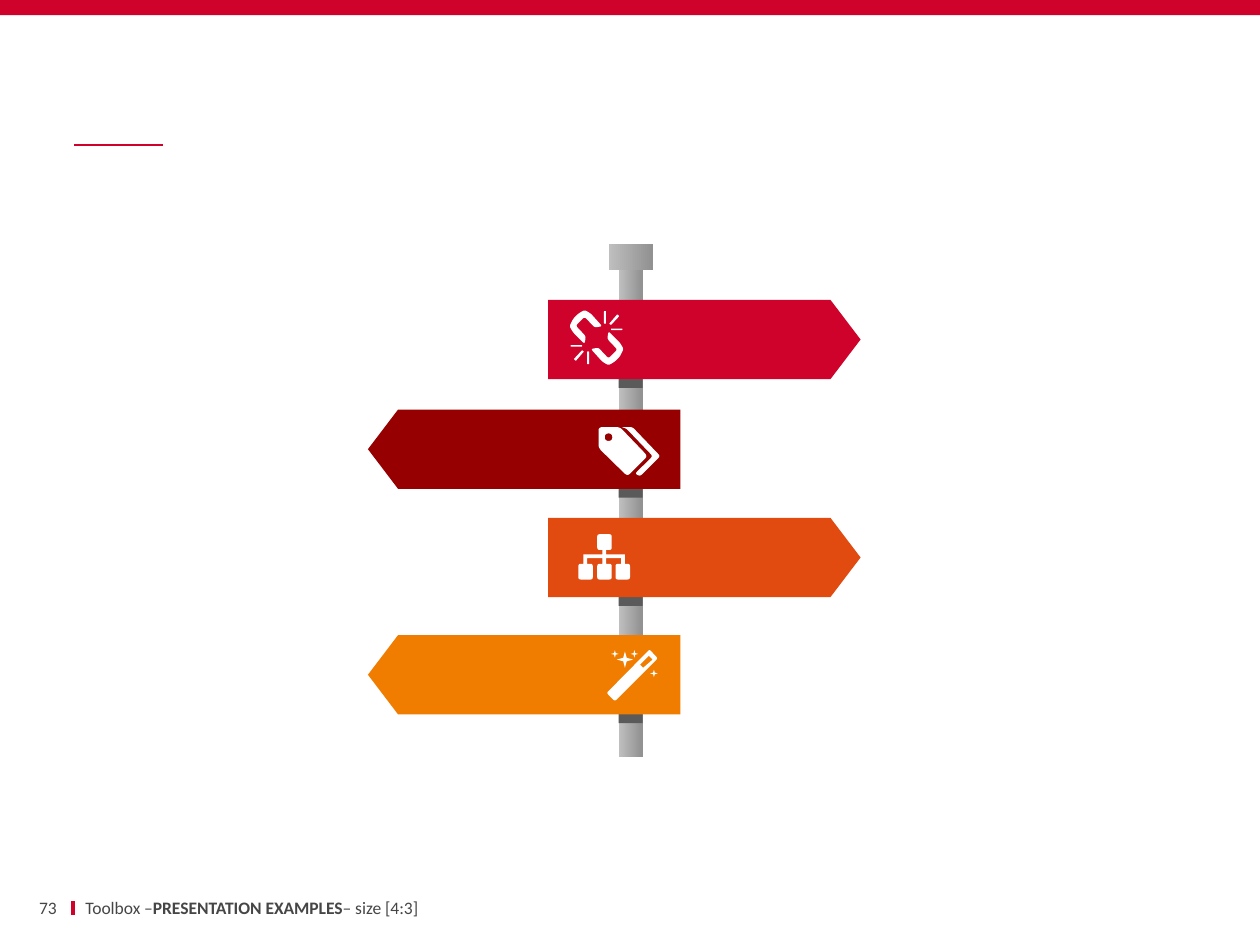
from math import cos, sin, pi, hypot
from lxml.etree import SubElement
from pptx import Presentation
from pptx.dml.color import RGBColor
from pptx.enum.shapes import MSO_CONNECTOR as Conn, MSO_SHAPE as Kind
from pptx.enum.text import MSO_ANCHOR as Anchor, PP_ALIGN as Align
from pptx.oxml.ns import qn
from pptx.util import Inches, Pt

RED, WHITE, GRAY = "CF022B", "FFFFFF", "464646"


def color(code):
    return RGBColor.from_string(code)


def paint(shape, fill):
    shape.shadow.inherit = False
    shape.line.fill.background()
    if isinstance(fill, tuple):
        shape.fill.gradient()
        shape.fill.gradient_angle = 0
        for stop, code in zip(shape.fill.gradient_stops, fill):
            stop.color.rgb = color(code)
    else:
        shape.fill.solid()
        shape.fill.fore_color.rgb = color(fill)


def block(slide, x, y, w, h, fill, kind=Kind.RECTANGLE):
    shape = slide.shapes.add_shape(kind, Inches(x), Inches(y), Inches(w), Inches(h))
    paint(shape, fill)
    return shape


def rule(slide, x, y, x2, y2, width):
    line = slide.shapes.add_connector(
        Conn.STRAIGHT, Inches(x), Inches(y), Inches(x2), Inches(y2))
    line.line.color.rgb = color(RED)
    line.line.width = Pt(width)
    SubElement(line._element.spPr, qn("a:effectLst"))


def write(slide, runs, x, y, w, h, size=10, font="Calibri", fill=GRAY,
          align=Align.LEFT, side=0.1):
    frame = slide.shapes.add_textbox(
        Inches(x), Inches(y), Inches(w), Inches(h)).text_frame
    frame.word_wrap = True
    frame.vertical_anchor = Anchor.MIDDLE
    frame.margin_left = frame.margin_right = Inches(side)
    frame.margin_top = frame.margin_bottom = Inches(0.05)
    para = frame.paragraphs[0]
    para.alignment = align
    for text, bold in runs:
        run = para.add_run()
        run.text = text
        run.font.size, run.font.name, run.font.bold = Pt(size), font, bold
        run.font.color.rgb = color(fill)


def soften(points, radius):
    if not radius:
        return points
    out = []
    for i, (x, y) in enumerate(points):
        ends = []
        for px, py in (points[i - 1], points[(i + 1) % len(points)]):
            part = min(radius / hypot(px - x, py - y), 0.5)
            ends.append((x + (px - x) * part, y + (py - y) * part))
        (ax, ay), (bx, by) = ends
        for t in (0, 0.25, 0.5, 0.75, 1):
            a, b, c = (1 - t) ** 2, 2 * t * (1 - t), t * t
            out.append((a * ax + b * x + c * bx, a * ay + b * y + c * by))
    return out


def icon(slide, x, y, parts):
    loops = [[(px * 100, py * 100) for px, py in soften(pts, radius)]
             for radius, pts in parts]
    pen = slide.shapes.build_freeform(*loops[0][0], scale=Inches(1) / 10000)
    for i, loop in enumerate(loops):
        if i:
            pen.move_to(*loop[0])
        pen.add_line_segments(loop[1:], close=True)
    paint(pen.convert_to_shape(Inches(x), Inches(y)), WHITE)


def box(x, y, w, h):
    return [(x, y), (x + w, y), (x + w, y + h), (x, y + h)]


def star(x, y, size):
    spokes = [(size if i % 2 == 0 else size * 0.3, i * pi / 4) for i in range(8)]
    return [(x + r * cos(a), y + r * sin(a)) for r, a in spokes]


def chain():
    half = [
        (2, [(19, 13), (11, 4.5), (4, 11.5), (12, 20), (11, 26), (2, 17),
             (-1, 12), (2, 6), (6, 2), (11, -1), (16, 2), (25, 12)]),
        (0.5, box(0, 27, 9, 1.2)),
        (0.5, [(2.5, 38), (9, 31), (10.5, 32), (4, 39.5)]),
        (0.5, box(13, 32, 1.6, 10))]
    return half + [(r, [(41 - x, 42 - y) for x, y in pts]) for r, pts in half]


def tags():
    return [
        (3, [(0, 0), (17, 0), (39, 23), (23, 39), (0, 16.5)]),
        (3, box(5, 5, 6, 6)),
        (2, [(18, 0), (27, 0), (49, 23), (33, 39), (29, 37), (43, 23), (22, 1)])]


def tree():
    boxes = [(2, box(x, y, 11.5, 12.5))
             for x, y in ((15, 0), (0, 23.5), (15, 23.5), (29.5, 23.5))]
    left = [(19, 12.5), (19, 16), (4, 16), (4, 23.5), (7, 23.5), (7, 19),
            (19, 19), (19, 23.5)]
    return boxes + [(0, left + [(41 - x, y) for x, y in reversed(left)])]


def wand():
    stars = ((6, 3, 3), (14, 7.5, 6.5), (21.5, 3, 3), (37, 18.5, 3))
    return [(1.5, [(-0.5, 34), (33.5, -0.5), (40, 6.5), (6, 40.5)]),
            (0, [(36, 7.5), (33, 4.5), (26, 11.5), (28.5, 14)])] + [
        (0, star(*spot)) for spot in stars]


def frame(slide):
    rule(slide, 0.58, 7.15, 0.58, 7.26, 2.25)
    rule(slide, 0.59, 1.15, 1.29, 1.15, 1)
    block(slide, 0, 0, 10, 0.12, RED)


def pole(slide, x, y, w, h):
    metal = ("BFBFBF", "919191")
    block(slide, x, y, w, h, metal)
    block(slide, x - 0.08, y, w + 0.16, 0.2, metal)


def sign(slide, x, y, w, h, fill, left):
    block(slide, 4.91, y + 0.6, 0.19, 0.1, "5A5A5A")
    arrow = block(slide, x, y, w, h, fill, Kind.PENTAGON)
    arrow.adjustments[0] = 0.38
    arrow.rotation = 180 if left else 0


def footer(slide, y, h):
    write(slide, [("73", False)], 0.13, y, 0.32, h, align=Align.RIGHT, side=0)
    write(slide, [("Toolbox –", False), ("PRESENTATION EXAMPLES", True),
                  ("– size [4:3]", False)], 0.58, y, 4.97, h)


def main():
    deck = Presentation()
    deck.slide_width, deck.slide_height = Inches(10), Inches(7.5)
    slide = deck.slides.add_slide(deck.slide_layouts[6])
    frame(slide)
    pole(slide, 4.91, 1.94, 0.19, 4.07)
    signs = [(2.38, RED, chain, 4.53, 2.47), (3.25, "960000", tags, 4.75, 3.39),
             (4.11, "E14B0F", tree, 4.59, 4.24), (5.04, "F07D00", wand, 4.82, 5.16)]
    for i, (y, fill, draw, ix, iy) in enumerate(signs):
        left = i % 2 == 1
        sign(slide, 2.92 if left else 4.35, y, 2.48, 0.63, fill, left)
        icon(slide, ix, iy, draw())
    footer(slide, 7.11, 0.18)
    deck.save("out.pptx")


if __name__ == "__main__":
    main()
